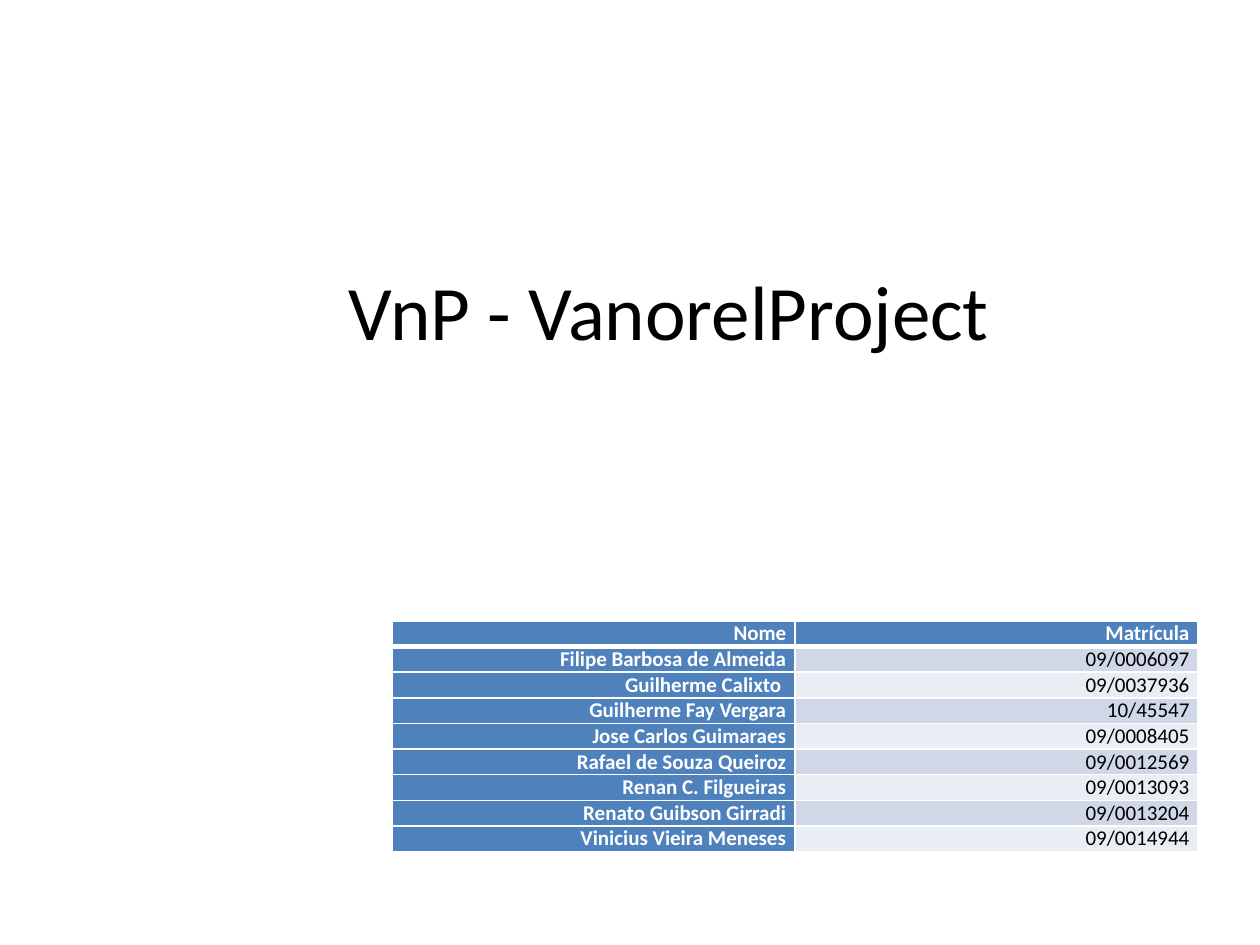
from typing import NamedTuple

from lxml import etree
from pptx import Presentation
from pptx import util as u
from pptx.dml.color import RGBColor
from pptx.enum import text
from pptx.oxml.ns import qn

WHITE = RGBColor(0xFF, 0xFF, 0xFF)
BLACK = RGBColor(0x00, 0x00, 0x00)
BLUE = RGBColor(0x4F, 0x81, 0xBD)
BANDS = (RGBColor(0xD0, 0xD8, 0xE8), RGBColor(0xE9, 0xED, 0xF4))
FONT = "Calibri"
WIDTH, HEIGHT = u.Inches(10), u.Inches(7.5)


class Area(NamedTuple):
    """A rectangle in shares of the slide's size."""
    left: float
    top: float
    width: float
    height: float

    def lengths(self) -> tuple[int, int, int, int]:
        return (int(self.left * WIDTH), int(self.top * HEIGHT),
                int(self.width * WIDTH), int(self.height * HEIGHT))


class Member(NamedTuple):
    name: str
    number: str


TITLE_AREA = Area(0.106, 0.27, 0.85, 0.215)
TABLE_AREA = Area(0.311, 0.657, 0.64, 0.24)

HEADER = Member("Nome", "Matrícula")
MEMBERS = [
    Member("Filipe Barbosa de Almeida", "09/0006097"),
    Member("Guilherme Calixto ", "09/0037936"),
    Member("Guilherme Fay Vergara", "10/45547"),
    Member("Jose Carlos Guimaraes", "09/0008405"),
    Member("Rafael de Souza Queiroz", "09/0012569"),
    Member("Renan C. Filgueiras", "09/0013093"),
    Member("Renato Guibson Girradi", "09/0013204"),
    Member("Vinicius Vieira Meneses", "09/0014944"),
]


def format_text(frame, size: float, color: RGBColor, bold: bool, align) -> None:
    for para in frame.paragraphs:
        para.alignment = align
        for span in para.runs:
            span.font.name = FONT
            span.font.size = u.Pt(size)
            span.font.bold = bold
            span.font.color.rgb = color


def add_borders(cell, top: float, bottom: float) -> None:
    """Draw white cell borders, with widths in points."""
    properties = cell._tc.get_or_add_tcPr()
    for side, width in (("L", 1), ("R", 1), ("T", top), ("B", bottom)):
        line = etree.SubElement(properties, qn(f"a:ln{side}"), w=str(u.Pt(width)))
        fill = etree.SubElement(line, qn("a:solidFill"))
        etree.SubElement(fill, qn("a:srgbClr"), val=str(WHITE))


def fill_cell(cell, row: int, column: int, words: str) -> None:
    heading = row == 0 or column == 0
    cell.text_frame.text = words
    cell.margin_left = cell.margin_right = u.Inches(0.07)
    cell.margin_top = cell.margin_bottom = 0
    format_text(cell.text_frame, 12, WHITE if heading else BLACK, heading,
                text.PP_ALIGN.RIGHT)
    # Borders come before the fill in the cell's properties
    add_borders(cell, top=3 if row == 1 else 1, bottom=3 if row == 0 else 1)
    cell.fill.solid()
    cell.fill.fore_color.rgb = BLUE if heading else BANDS[(row - 1) % 2]


def add_title(page, words: str) -> None:
    box = page.shapes.title
    box.left, box.top, box.width, box.height = TITLE_AREA.lengths()
    frame = box.text_frame
    frame.text = words
    frame.vertical_anchor = text.MSO_ANCHOR.MIDDLE
    frame.margin_bottom = u.Inches(0.8)  # lifts the line above the middle
    format_text(frame, 44, BLACK, False, text.PP_ALIGN.CENTER)


def add_member_table(page, rows: list[Member]) -> None:
    table = page.shapes.add_table(len(rows), 2, *TABLE_AREA.lengths()).table
    table.first_col = True
    for row, member in enumerate(rows):
        for column, words in enumerate(member):
            fill_cell(table.cell(row, column), row, column, words)


def main() -> None:
    deck = Presentation()
    deck.slide_width, deck.slide_height = WIDTH, HEIGHT
    page = deck.slides.add_slide(deck.slide_layouts[0])

    # Title, without the unused subtitle
    subtitle = page.placeholders[1].element
    subtitle.getparent().remove(subtitle)
    add_title(page, "VnP - VanorelProject")

    # Team members
    add_member_table(page, [HEADER, *MEMBERS])

    deck.save("out.pptx")


if __name__ == "__main__":
    main()
